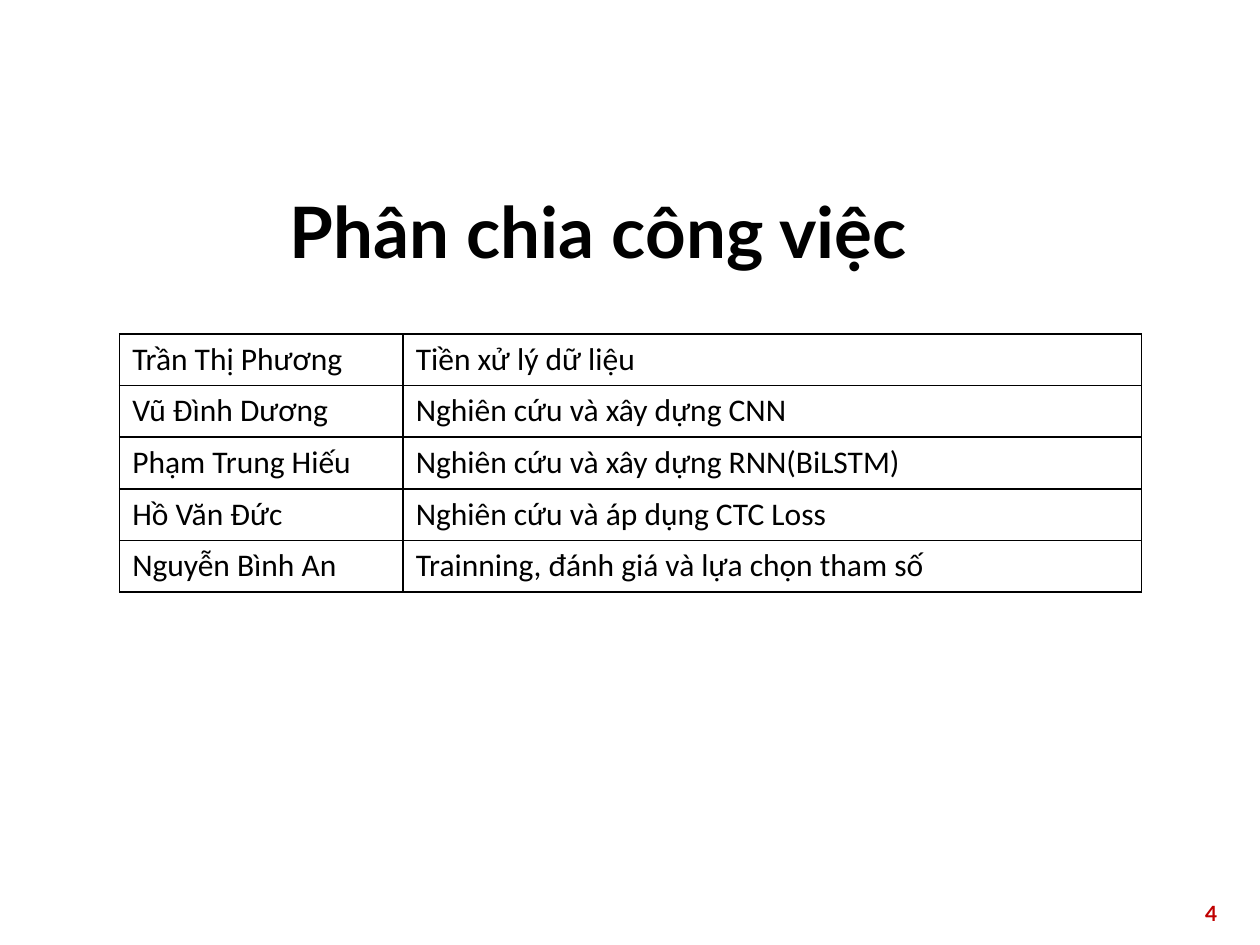
import pptx
import pptx.dml.color
import pptx.enum.text
import pptx.oxml
import pptx.oxml.ns
import pptx.util
from pptx.util import Inches

BLACK = pptx.dml.color.RGBColor(0x00, 0x00, 0x00)
RED = pptx.dml.color.RGBColor(0xC0, 0x00, 0x00)

ASSIGNMENTS = [
    ("Trần Thị Phương", "Tiền xử lý dữ liệu"),
    ("Vũ Đình Dương", "Nghiên cứu và xây dựng CNN"),
    ("Phạm Trung Hiếu", "Nghiên cứu và xây dựng RNN(BiLSTM)"),
    ("Hồ Văn Đức", "Nghiên cứu và áp dụng CTC Loss"),
    ("Nguyễn Bình An", "Trainning, đánh giá và lựa chọn tham số"),
]
COLUMN_WIDTHS = [2.25, 5.86]
ROW_HEIGHT = 0.41


def style_font(font, name, size, color, bold=False):
    font.name = name
    font.size = pptx.util.Pt(size)
    font.color.rgb = color
    font.bold = bold


def add_borders(cell):
    properties = cell._tc.get_or_add_tcPr()
    for position, side in enumerate(("lnL", "lnR", "lnT", "lnB")):
        line = pptx.oxml.parse_xml(
            f'<a:{side} {pptx.oxml.ns.nsdecls("a")} w="12700">'
            f'<a:solidFill><a:srgbClr val="{BLACK}"/></a:solidFill></a:{side}>'
        )
        properties.insert(position, line)


deck = pptx.Presentation()
deck.slide_width = Inches(10)
deck.slide_height = Inches(7.5)
page = deck.slides.add_slide(deck.slide_layouts[6])

# Page number
number_box = page.shapes.add_textbox(Inches(7.51), Inches(7.1), Inches(2.25), Inches(0.4))
number_box.text_frame.word_wrap = True
para = number_box.text_frame.paragraphs[0]
para.text = "4"
para.alignment = pptx.enum.text.PP_ALIGN.RIGHT
style_font(para.font, "Lato", 12, RED, bold=True)

# Title
title_box = page.shapes.add_textbox(Inches(2.2), Inches(1.52), Inches(5.61), Inches(0.7))
title_box.text_frame.word_wrap = True
title_box.text_frame.vertical_anchor = pptx.enum.text.MSO_ANCHOR.MIDDLE
para = title_box.text_frame.paragraphs[0]
para.text = "Phân chia công việc"
para.line_spacing = 0.9
style_font(para.font, "Lato", 40.5, BLACK, bold=True)

# Table of members and their tasks
table = page.shapes.add_table(
    len(ASSIGNMENTS), len(COLUMN_WIDTHS), Inches(0.95), Inches(2.65),
    Inches(sum(COLUMN_WIDTHS)), Inches(ROW_HEIGHT * len(ASSIGNMENTS)),
).table
table.first_row = False
table.horz_banding = False
for column, width in zip(table.columns, COLUMN_WIDTHS):
    column.width = Inches(width)
for row, texts in zip(table.rows, ASSIGNMENTS):
    row.height = Inches(ROW_HEIGHT)
    for cell, text in zip(row.cells, texts):
        cell.fill.background()
        add_borders(cell)
        para = cell.text_frame.paragraphs[0]
        para.text = text
        style_font(para.font, "Calibri", 18, BLACK)

deck.save("out.pptx")
